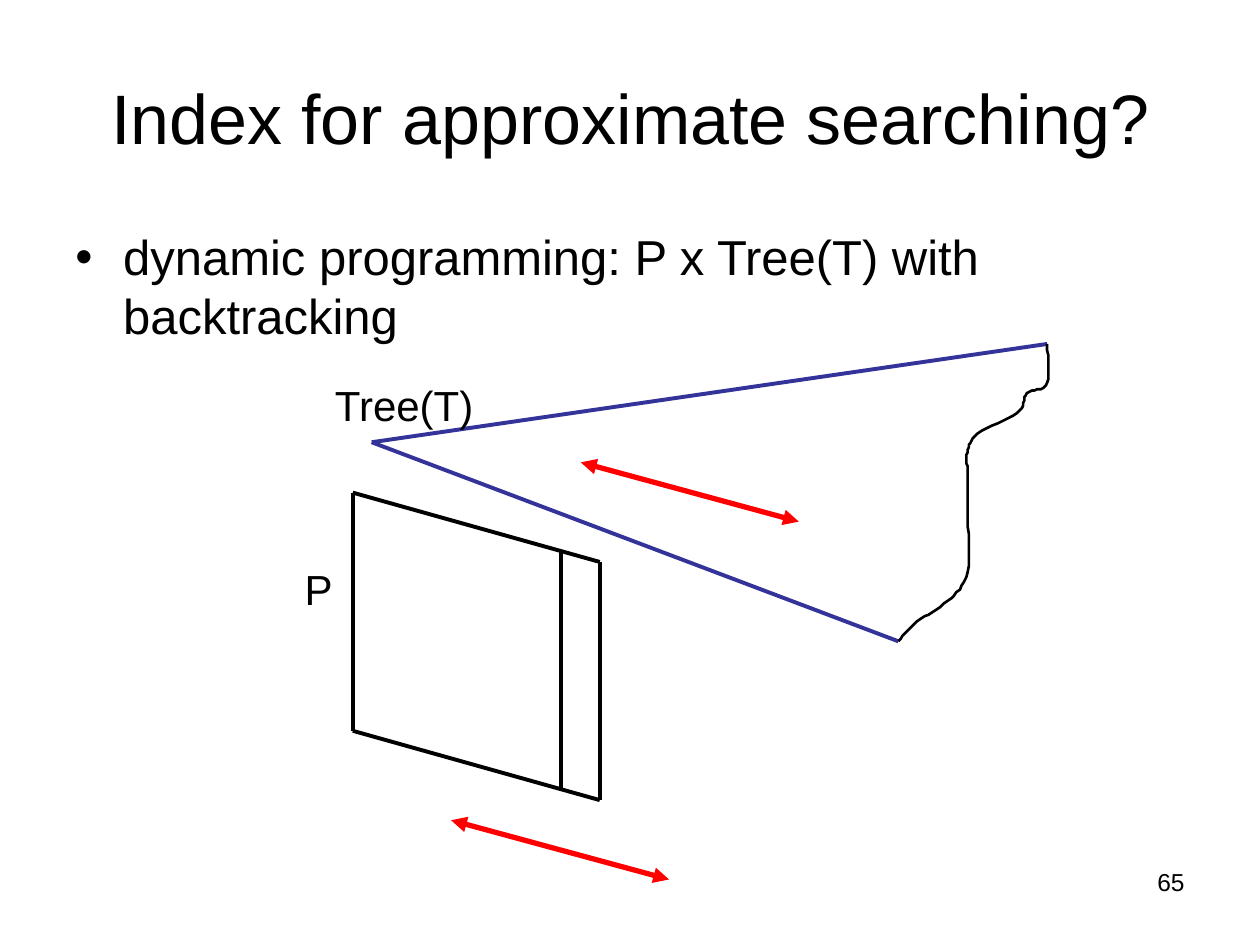
from pptx import Presentation
from pptx.dml.color import RGBColor
from pptx.enum.shapes import MSO_CONNECTOR as Connector
from pptx.enum.text import MSO_ANCHOR as Anchor, PP_ALIGN as Align
from pptx.oxml.ns import qn
from pptx.util import Inches, Pt
from lxml.etree import SubElement

COLUMNS, ROWS = 1000, 750
CELL = Inches(10) // COLUMNS
BLACK, BLUE, RED = "000000", "333399", "FF0000"
PANEL_TOP = [(280, 391), (445, 438), (476, 446)]
PANEL_HEIGHT = 189
TREE_ROOT, TREE_ENDS = (295, 351), [(713, 509), (831, 273)]
ARROW_STARTS, ARROW_SPAN = [(358, 651), (461, 367)], (173, 47)
EDGE_START = (831, 273)
EDGE_CURVES = [
    [(832, 285), (833, 298), (831, 304)],
    [(828, 311), (819, 308), (815, 312)],
    [(811, 316), (814, 323), (807, 328)],
    [(801, 333), (782, 338), (776, 344)],
    [(769, 349), (769, 354), (768, 359)],
    [(766, 364), (768, 367), (768, 375)],
    [(768, 383), (768, 393), (768, 406)],
    [(768, 420), (770, 442), (768, 454)],
    [(765, 466), (759, 471), (752, 477)],
    [(745, 484), (735, 488), (728, 493)],
    [(722, 498), (717, 503), (713, 509)],
]


def color(hex_string):
    """Turn a hex string into a colour."""
    return RGBColor.from_string(hex_string)


def cells(*counts):
    """Turn counts of grid cells into lengths."""
    return [CELL * count for count in counts]


def add_text(slide, text, box, size, align=Align.LEFT, anchor=Anchor.TOP, wrap=True):
    """Add a text box and return its paragraph."""
    text_frame = slide.shapes.add_textbox(*cells(*box)).text_frame
    text_frame.word_wrap = wrap
    text_frame.vertical_anchor = anchor
    text_frame.text = text
    paragraph = text_frame.paragraphs[0]
    paragraph.alignment = align
    font = paragraph.runs[0].font
    font.name, font.size = "Arial", Pt(size)
    font.color.rgb = color(BLACK)
    return paragraph


def add_bullet(paragraph, indent):
    """Give a paragraph a hanging bullet."""
    properties = paragraph._p.get_or_add_pPr()
    properties.set("marL", str(Inches(indent)))
    properties.set("indent", str(-Inches(indent)))
    SubElement(properties, qn("a:buFont"), typeface="Arial")
    SubElement(properties, qn("a:buChar"), char="•")


def add_line(slide, start, end, line_color=BLACK, width=2.25, arrows=False):
    """Add a straight line, with arrowheads at both ends if wanted."""
    connector = slide.shapes.add_connector(Connector.STRAIGHT, *cells(*start, *end))
    connector.line.color.rgb = color(line_color)
    connector.line.width = Pt(width)
    if arrows:
        for end_tag in ("a:headEnd", "a:tailEnd"):
            SubElement(connector.line._get_or_add_ln(), qn(end_tag), type="triangle")
    SubElement(connector._element.spPr, qn("a:effectLst"))


def bezier_points(start, curves, steps=8):
    """Return points along a chain of cubic curves."""
    points = []
    for first, second, end in curves:
        for step in range(1, steps + 1):
            t = step / steps
            u = 1 - t
            points.append(tuple(
                u**3 * a + 3 * u * u * t * b + 3 * u * t * t * c + t**3 * d
                for a, b, c, d in zip(start, first, second, end)
            ))
        start = end
    return points


def add_curve(slide, start, curves):
    """Add an open, unfilled curved outline."""
    builder = slide.shapes.build_freeform(*start, scale=CELL)
    builder.add_line_segments(bezier_points(start, curves), close=False)
    shape = builder.convert_to_shape()
    shape.shadow.inherit = False
    shape.fill.background()
    shape.line.color.rgb = color(BLACK)
    shape.line.width = Pt(1.5)


def add_panel(slide):
    """Draw the slanted table for the pattern P."""
    bottom = [(x, y + PANEL_HEIGHT) for x, y in PANEL_TOP]
    for upper, lower in zip(PANEL_TOP, bottom):
        add_line(slide, upper, lower)
    for edge in (PANEL_TOP, bottom):
        add_line(slide, edge[0], edge[-1])


def main():
    """Build and save the slide."""
    presentation = Presentation()
    presentation.slide_width, presentation.slide_height = cells(COLUMNS, ROWS)
    slide = presentation.slides.add_slide(presentation.slide_layouts[6])
    add_text(slide, "Index for approximate searching?", (50, 30, 900, 125), 40,
             Align.CENTER, Anchor.MIDDLE)
    body = add_text(slide, "dynamic programming: P x Tree(T) with backtracking",
                    (50, 175, 900, 495), 28)
    body.space_before = Pt(7)
    add_bullet(body, 0.38)
    add_panel(slide)
    for end in TREE_ENDS:
        add_line(slide, TREE_ROOT, end, BLUE)
    add_curve(slide, EDGE_START, EDGE_CURVES)
    for x, y in ARROW_STARTS:
        end = (x + ARROW_SPAN[0], y + ARROW_SPAN[1])
        add_line(slide, (x, y), end, RED, 3, arrows=True)
    add_text(slide, "P", (232, 442, 55, 50), 24, wrap=False)
    add_text(slide, "Tree(T)", (256, 296, 142, 50), 24, wrap=False)
    add_text(slide, "65", (717, 683, 233, 52), 14, Align.RIGHT)
    presentation.save("out.pptx")


if __name__ == "__main__":
    main()
